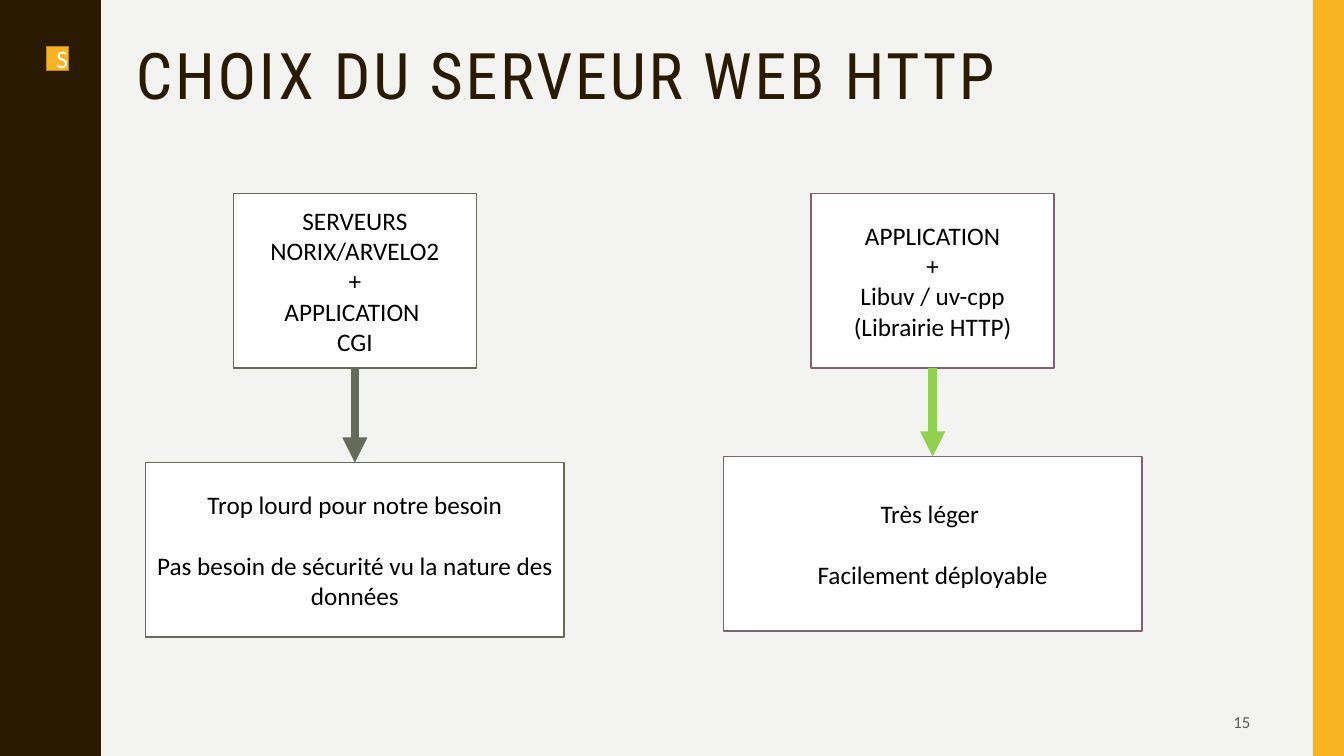
from lxml import etree
from pptx import Presentation
from pptx.dml.color import RGBColor
from pptx.enum.shapes import MSO_CONNECTOR, MSO_SHAPE
from pptx.enum.text import MSO_ANCHOR, PP_ALIGN
from pptx.oxml.ns import qn
from pptx.util import Inches, Pt

RECT = MSO_SHAPE.RECTANGLE
LINE = MSO_CONNECTOR.STRAIGHT
TOP, MIDDLE = MSO_ANCHOR.TOP, MSO_ANCHOR.MIDDLE
LEFT, CENTER, RIGHT = PP_ALIGN.LEFT, PP_ALIGN.CENTER, PP_ALIGN.RIGHT

# Content
TITLE = "CHOIX DU SERVEUR WEB HTTP"
BROWN, GOLD, WHITE = "2A1A00", "F8B323", "FFFFFF"
OPTIONS = [
    {"mid": 3.52, "low": 4.59, "line": "656A59", "arrow": "656A59",
     "stack": ["SERVEURS\vNORIX/ARVELO2", "+", "APPLICATION ", "CGI"],
     "notes": ["Trop lourd pour notre besoin",
               "Pas besoin de sécurité vu la nature des données"]},
    {"mid": 9.25, "low": 4.53, "line": "826276", "arrow": "92D050",
     "stack": ["APPLICATION", "+", "Libuv / uv-cpp (Librairie HTTP)"],
     "notes": ["Très léger ", "Facilement déployable"]},
]
HIGH, STACK_W, NOTE_W, BOX_H = 1.92, 2.41, 4.15, 1.73

# Half of one wave; the other half mirrors it
HALF = [(0.78, 0), (0.78, 0.07), (0.79, 0.14), (0.8, 0.2), (0.81, 0.25),
        (0.83, 0.29), (0.85, 0.33), (0.87, 0.38), (0.89, 0.42), (0.91, 0.46),
        (0.93, 0.5), (0.95, 0.55), (0.96, 0.61), (0.97, 0.68), (0.97, 0.75)]
PERIOD, WAVES = 1.5, 5

prs = Presentation()
prs.slide_width, prs.slide_height = Inches(13.33), Inches(7.5)
slide = prs.slides.add_slide(prs.slide_layouts[6])
shapes = slide.shapes


def color(code):
    return RGBColor.from_string(code)


def paint(shape, fill, line=None):
    shape.shadow.inherit = False
    shape.fill.solid()
    shape.fill.fore_color.rgb = color(fill)
    if line:
        shape.line.color.rgb = color(line)
        shape.line.width = Pt(1)
    else:
        shape.line.fill.background()


def write(shape, lines, size=18, ink="000000", align=CENTER, anchor=MIDDLE,
          font="Calibri", gap=0):
    frame = shape.text_frame
    frame.word_wrap = True
    frame.vertical_anchor = anchor
    frame.text = "\n".join(lines)
    for i, para in enumerate(frame.paragraphs):
        para.alignment = align
        if i and gap:
            para.space_before = Pt(gap)
        for run in para.runs:
            run.font.size = Pt(size)
            run.font.name = font
            run.font.color.rgb = color(ink)


def box(x, y, w, h, fill, line=None):
    shape = shapes.add_shape(RECT, Inches(x), Inches(y), Inches(w), Inches(h))
    paint(shape, fill, line)
    return shape


def label(x, y, w, h):
    return shapes.add_textbox(Inches(x), Inches(y), Inches(w), Inches(h))


def arrow(start, end, ink):
    link = shapes.add_connector(LINE, 0, 0, 0, 0)
    link.begin_connect(start, 2)
    link.end_connect(end, 0)
    link.line.color.rgb = color(ink)
    link.line.width = Pt(6)
    etree.SubElement(link.line._get_or_add_ln(), qn("a:tailEnd"), type="triangle")
    etree.SubElement(link._element.spPr, qn("a:effectLst"))


# Background, wavy band and right strip
slide.background.fill.solid()
slide.background.fill.fore_color.rgb = color("F3F3F2")
wave = HALF + [(x, PERIOD - y) for x, y in HALF[-2::-1]]
edge = [(x, y + n * PERIOD) for n in range(WAVES) for x, y in wave]
pen = shapes.build_freeform(0, 0, scale=Inches(1))
pen.add_line_segments(edge + [(0, 7.5)], close=True)
paint(pen.convert_to_shape(), BROWN)
box(13.02, 0, 0.31, 7.5, GOLD)

# Title
head = label(1.25, 0.39, 10.97, 0.66)
write(head, [TITLE], 45.9, BROWN, LEFT, TOP, "Roboto Condensed")
para = head.text_frame.paragraphs[0]
para.line_spacing = 0.9
para.runs[0].font._element.set("spc", "200")

# Options: stack on top, arrow, notes below
for opt in OPTIONS:
    stack = box(opt["mid"] - STACK_W / 2, HIGH, STACK_W, BOX_H, WHITE, opt["line"])
    write(stack, opt["stack"])
    notes = box(opt["mid"] - NOTE_W / 2, opt["low"], NOTE_W, BOX_H, WHITE, opt["line"])
    write(notes, opt["notes"], gap=22)
    arrow(stack, notes, opt["arrow"])

# Badge and page number
write(box(0.46, 0.46, 0.22, 0.24, GOLD, "B7841A"), ["S"], ink=WHITE)
write(label(9.42, 6.97, 3.08, 0.38), ["15"], 12, "595959", RIGHT)

prs.save("out.pptx")
